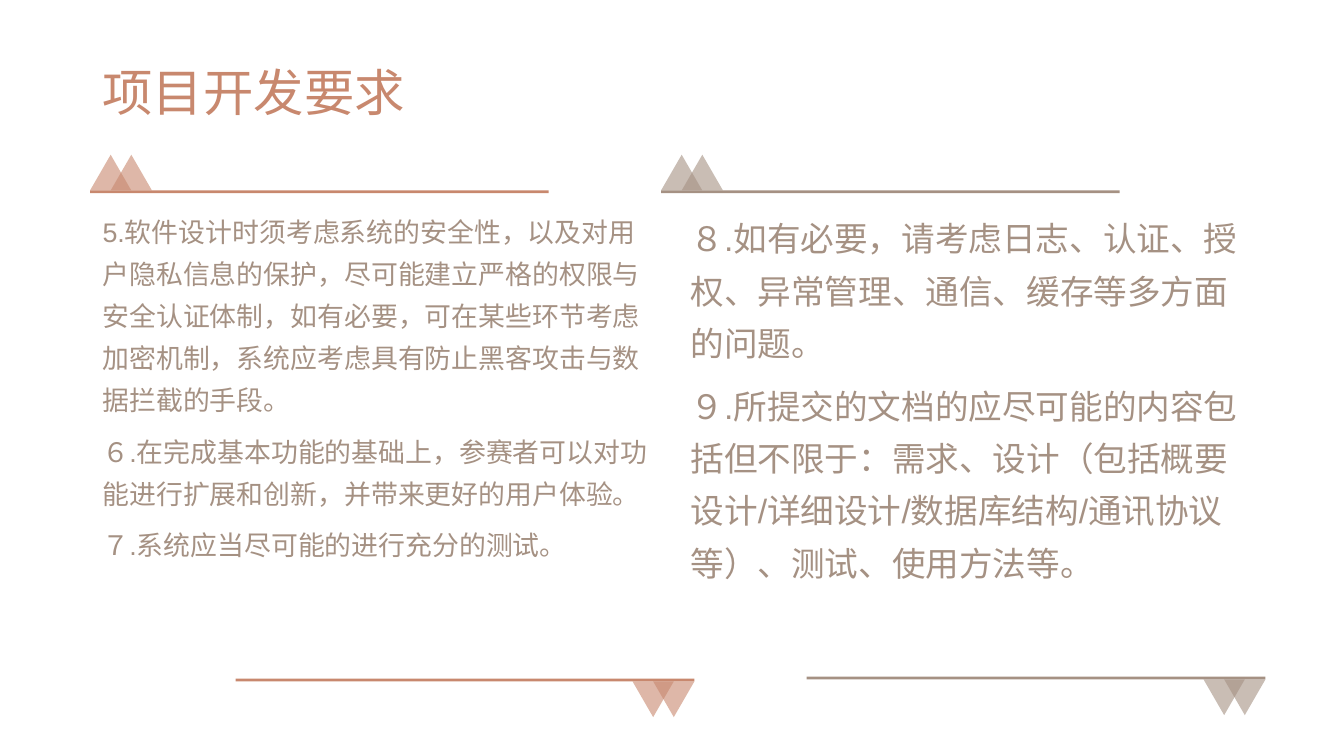
from pptx import Presentation
from pptx.dml.color import RGBColor
from pptx.enum.lang import MSO_LANGUAGE_ID
from pptx.enum.shapes import MSO_SHAPE
from pptx.enum.text import MSO_ANCHOR, MSO_AUTO_SIZE, PP_ALIGN
from pptx.oxml.ns import qn
from pptx.util import Cm, Pt
from lxml.etree import SubElement

TERRACOTTA = RGBColor(0xC8, 0x88, 0x6E)
TAUPE = RGBColor(0xA5, 0x91, 0x83)
FONT = "Arial"

TITLE = "项目开发要求"
LEFT_ITEMS = [
    "5.软件设计时须考虑系统的安全性，以及对用户隐私信息的保护，尽可能建立严格的权限与"
    "安全认证体制，如有必要，可在某些环节考虑加密机制，系统应考虑具有防止黑客攻击与数据拦截的手段。",
    "６.在完成基本功能的基础上，参赛者可以对功能进行扩展和创新，并带来更好的用户体验。",
    "７.系统应当尽可能的进行充分的测试。",
]
RIGHT_ITEMS = [
    "８.如有必要，请考虑日志、认证、授权、异常管理、通信、缓存等多方面的问题。",
    "９.所提交的文档的应尽可能的内容包括但不限于：需求、设计（包括概要设计/详细设计/"
    "数据库结构/通讯协议等）、测试、使用方法等。",
]

RULE_W, RULE_H = Cm(11.56), Cm(0.07)
PEAK_W, PEAK_H = Cm(1.04), Cm(0.9)


def place(sp, left, top, width, height):
    sp.left, sp.top, sp.width, sp.height = left, top, width, height
    tf = sp.text_frame
    tf.word_wrap = True
    tf.auto_size = MSO_AUTO_SIZE.NONE
    return tf


def format_paragraph(p, size, color, line_spacing, gap):
    p.alignment = PP_ALIGN.LEFT
    p.line_spacing = line_spacing
    p.space_before = p.space_after = Pt(gap)
    for r in p.runs:
        r.font.name = FONT
        r.font.size = Pt(size)
        r.font.color.rgb = color
        r.font.language_id = MSO_LANGUAGE_ID.SIMPLIFIED_CHINESE


def fill_title(sp, left, top, width, height):
    tf = place(sp, left, top, width, height)
    tf.vertical_anchor = MSO_ANCHOR.MIDDLE
    tf.text = TITLE
    format_paragraph(tf.paragraphs[0], 36, TERRACOTTA, 0.9, 0)


def fill_requirements(sp, items, size, left, top, width, height):
    tf = place(sp, left, top, width, height)
    tf.vertical_anchor = MSO_ANCHOR.TOP
    tf.text = "\n".join(items)
    for p in tf.paragraphs:
        format_paragraph(p, size, TAUPE, 1.3, 3.6)
        pPr = p._p.get_or_add_pPr()
        pPr.set("marL", "0")
        pPr.set("indent", "0")
        SubElement(pPr, qn("a:buNone"))


def add_solid(slide, kind, color, left, top, width, height):
    sp = slide.shapes.add_shape(kind, left, top, width, height)
    sp.shadow.inherit = False
    sp.fill.solid()
    sp.fill.fore_color.rgb = color
    sp.line.fill.background()
    return sp


def add_peaked_rule(slide, color, left, top, hanging=False):
    """Rule with two overlapping peaks: above its left end, or hanging from its right end."""
    step = PEAK_W // 2
    peaks_left = left + RULE_W - PEAK_W - step if hanging else left
    peaks_top = top + RULE_H if hanging else top - PEAK_H
    for i in range(2):
        peak = add_solid(slide, MSO_SHAPE.ISOSCELES_TRIANGLE, color,
                         peaks_left + i * step, peaks_top, PEAK_W, PEAK_H)
        peak.rotation = 180 if hanging else 0
        clr = peak.fill._xPr.find(qn("a:solidFill"))[0]
        SubElement(clr, qn("a:alpha")).set("val", "60000")
    add_solid(slide, MSO_SHAPE.RECTANGLE, color, left, top, RULE_W, RULE_H)


def add_frame(slide, color, left, top, bottom):
    """Pair of peaked rules above and below one column."""
    add_peaked_rule(slide, color, left, top)
    add_peaked_rule(slide, color, left + Cm(3.67), bottom, hanging=True)


def main():
    prs = Presentation()
    prs.slide_width, prs.slide_height = Cm(33.87), Cm(19.05)
    slide = prs.slides.add_slide(prs.slide_layouts[3])
    title, left_body, right_body = slide.placeholders

    fill_title(title, Cm(2.33), Cm(1.01), Cm(29.21), Cm(2.76))
    column = Cm(5.07), Cm(14.4), Cm(11.66)
    fill_requirements(left_body, LEFT_ITEMS, 19.2, Cm(2.33), *column)
    fill_requirements(right_body, RIGHT_ITEMS, 24, Cm(17.15), *column)

    add_frame(slide, TERRACOTTA, Cm(2.27), Cm(4.8), Cm(17.1))
    add_frame(slide, TAUPE, Cm(16.66), Cm(4.8), Cm(17.05))
    prs.save("out.pptx")


if __name__ == "__main__":
    main()
